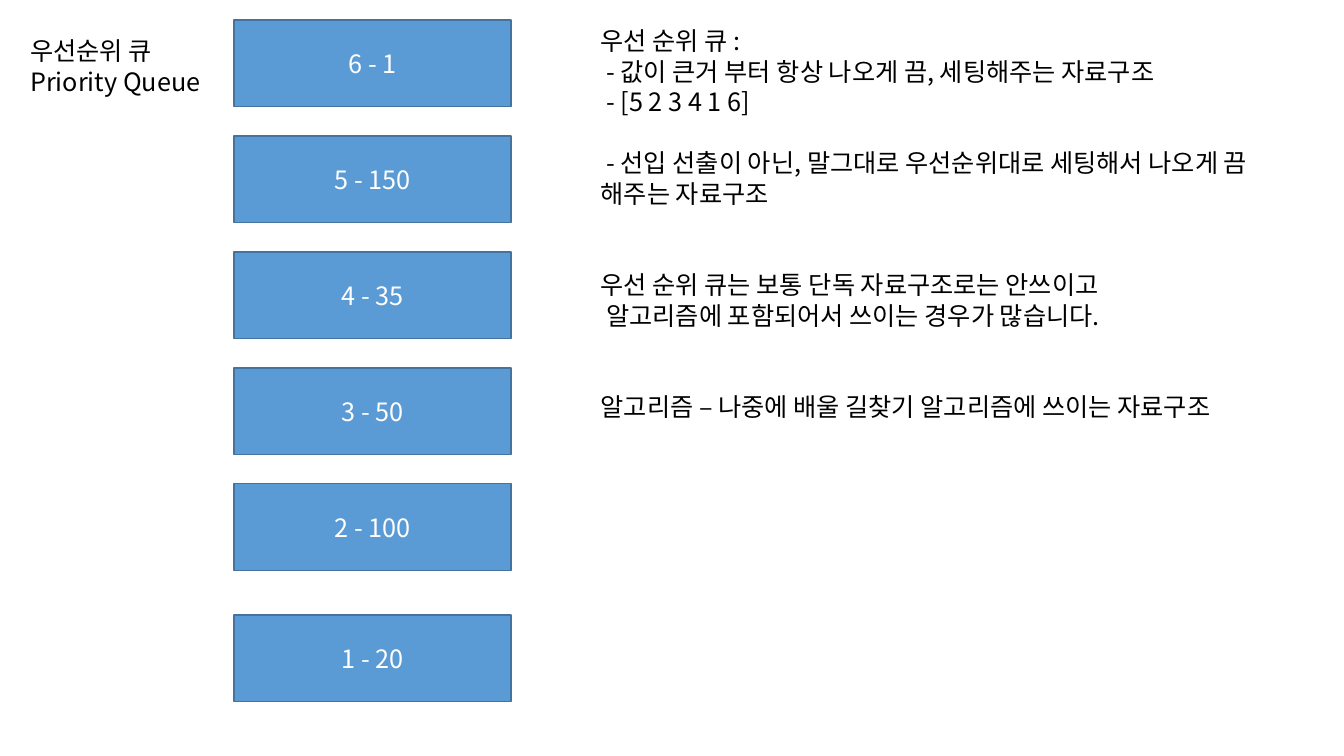
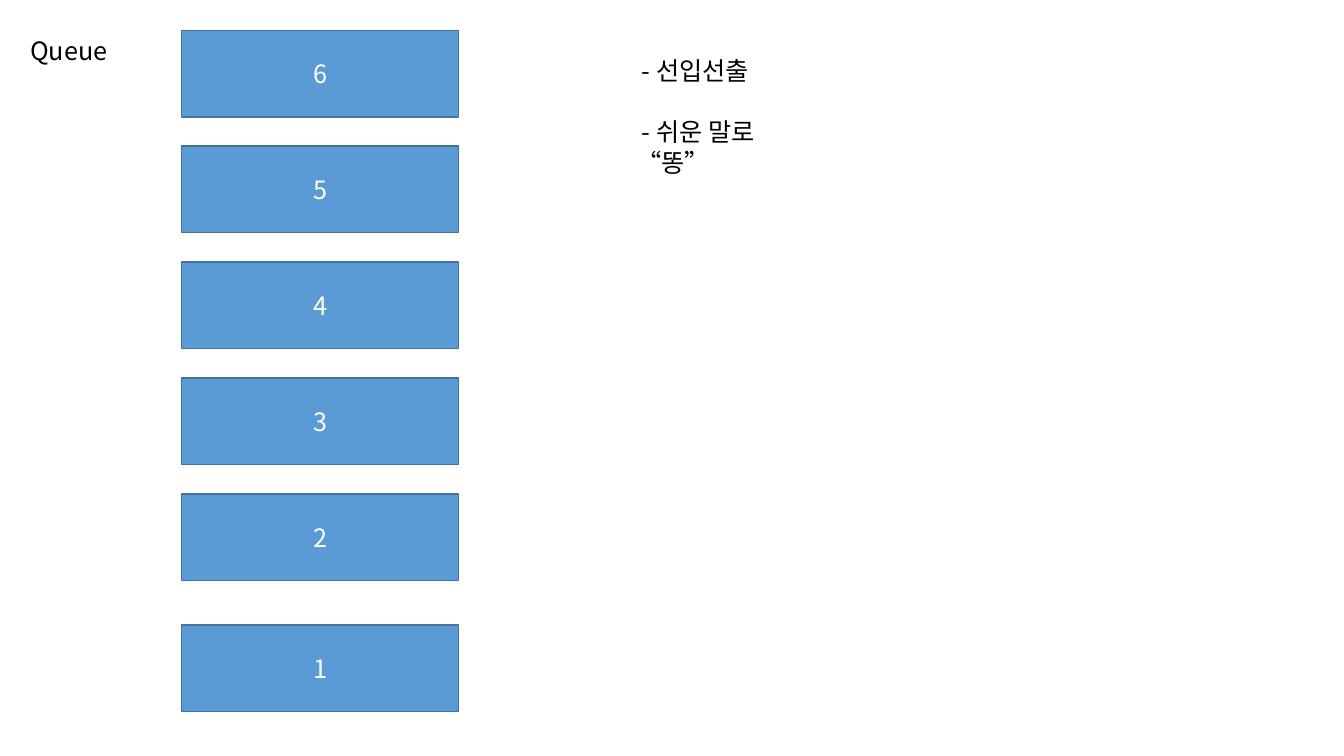
from lxml import etree
from pptx import Presentation
from pptx import util as u
from pptx.dml.color import RGBColor
from pptx.enum import shapes, text
from pptx.oxml import ns

# Shared style; places are counted in cells of a square grid
CELL = u.Inches(0.1)
COLORS = {"ink": "000000", "fill": "5B9BD5", "edge": "43739E", "light": "FFFFFF"}
FONT = "Noto Sans CJK KR"
SIZE = 18
LINE = 21.8
BLOCK_W, BLOCK_H, BLOCK_STEP, LAST_GAP = 27.5, 8.6, 11.5, 1.5


def cells(*counts):
    return [round(count * CELL) for count in counts]


def write(para, wording, color="ink", align=text.PP_ALIGN.LEFT, gap=0):
    """Fill one paragraph; gap is the number of lines left free above it."""
    para.alignment = align
    para.line_spacing = u.Pt(LINE)
    para.space_before = u.Pt(gap * LINE)
    span = para.add_run()
    span.text = wording
    span.font.size = u.Pt(SIZE)
    span.font.name = FONT
    span.font.color.rgb = RGBColor.from_string(COLORS[color])
    east_asian = etree.SubElement(span.font._element, ns.qn("a:ea"))
    east_asian.set("typeface", FONT)


def write_lines(frame, lines):
    """Write (gap, wording) pairs from the top of a text frame."""
    frame.word_wrap = True
    frame.auto_size = text.MSO_AUTO_SIZE.NONE
    frame.vertical_anchor = text.MSO_ANCHOR.TOP
    for index, (gap, wording) in enumerate(lines):
        para = frame.add_paragraph() if index else frame.paragraphs[0]
        write(para, wording, gap=gap)


def place_title(page, box, lines):
    title = page.shapes.title
    title.left, title.top, title.width, title.height = cells(*box)
    write_lines(title.text_frame, [(0, line) for line in lines])


def place_notes(page, box, lines):
    write_lines(page.shapes.add_textbox(*cells(*box)).text_frame, lines)


def place_queue(page, left, top, labels):
    """Stack blocks at equal steps, the last one set a little apart."""
    for row, label in enumerate(labels):
        apart = LAST_GAP if row == len(labels) - 1 else 0
        block_top = top + row * BLOCK_STEP + apart
        block = page.shapes.add_shape(shapes.MSO_SHAPE.RECTANGLE,
                                      *cells(left, block_top, BLOCK_W, BLOCK_H))
        block.shadow.inherit = False
        block.fill.solid()
        block.fill.fore_color.rgb = RGBColor.from_string(COLORS["fill"])
        block.line.color.rgb = RGBColor.from_string(COLORS["edge"])
        block.line.width = u.Pt(1)
        block.text_frame.vertical_anchor = text.MSO_ANCHOR.MIDDLE
        write(block.text_frame.paragraphs[0], label, color="light",
              align=text.PP_ALIGN.CENTER)


def add_queue_page(deck, title, title_box, queue_at, labels, notes, notes_box):
    page = deck.slides.add_slide(deck.slide_layouts.get_by_name("Title Only"))
    place_title(page, title_box, title)
    place_queue(page, *queue_at, labels)
    place_notes(page, notes_box, notes)


def main():
    deck = Presentation()
    deck.slide_width, deck.slide_height = u.Inches(13.33), u.Inches(7.5)

    # Priority queue: each block shows its priority and value
    add_queue_page(
        deck,
        title=["우선순위 큐", "Priority Queue"], title_box=(2, 3, 20, 7.1),
        queue_at=(23.2, 2),
        labels=["6 - 1", "5 - 150", "4 - 35", "3 - 50", "2 - 100", "1 - 20"],
        notes=[
            (0, "우선 순위 큐 :"),
            (0, " - 값이 큰거 부터 항상 나오게 끔, 세팅해주는 자료구조"),
            (0, " - [5 2 3 4 1 6]"),
            (1, " - 선입 선출이 아닌, 말그대로 우선순위대로 세팅해서 나오게 끔"),
            (0, "해주는 자료구조"),
            (2, "우선 순위 큐는 보통 단독 자료구조로는 안쓰이고"),
            (0, " 알고리즘에 포함되어서 쓰이는 경우가 많습니다."),
            (2, "알고리즘 – 나중에 배울 길찾기 알고리즘에 쓰이는 자료구조"),
        ],
        notes_box=(58.6, 2, 71, 40.4))

    # Plain queue
    add_queue_page(
        deck,
        title=["Queue"], title_box=(2, 3, 10, 4),
        queue_at=(18, 3),
        labels=["6", "5", "4", "3", "2", "1"],
        notes=[(0, " - 선입선출"), (1, " - 쉬운 말로 “똥”")],
        notes_box=(62.1, 5, 20.5, 10.1))

    deck.save("out.pptx")


if __name__ == "__main__":
    main()
